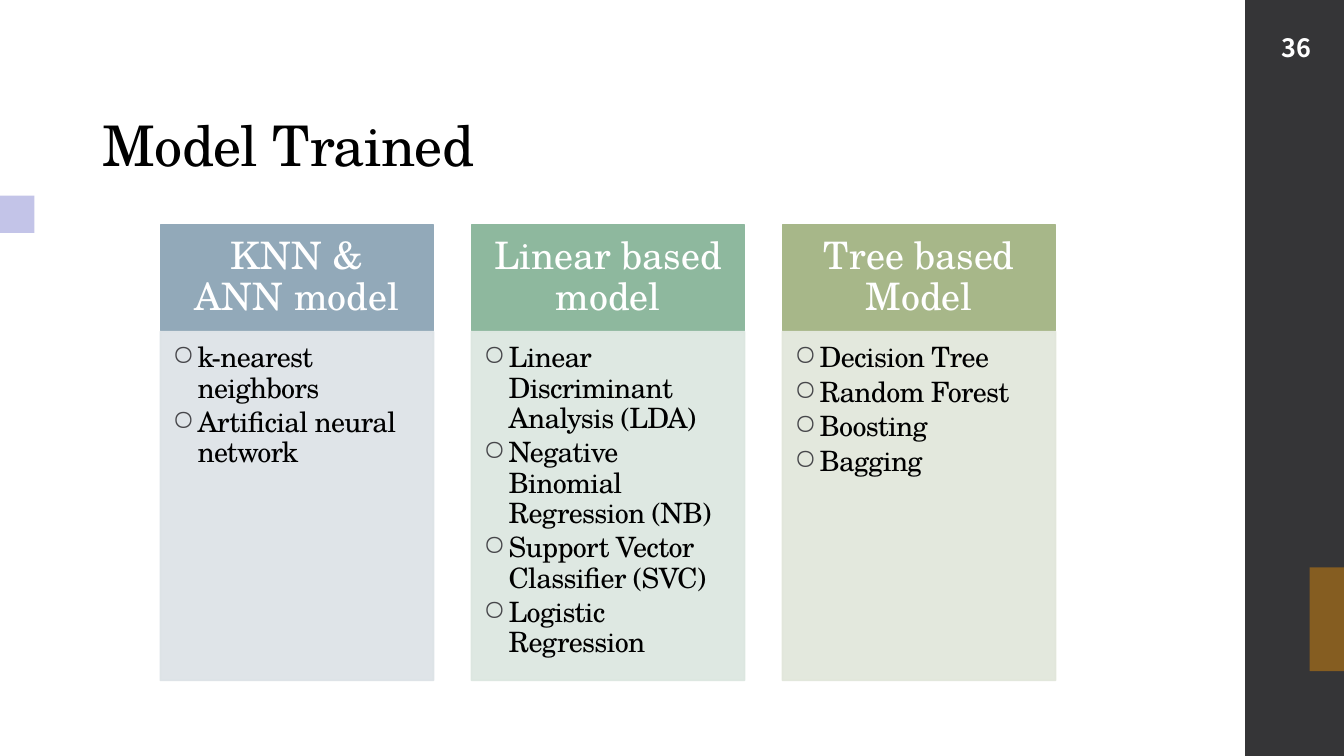
from lxml import etree
from pptx import Presentation
from pptx.dml.color import RGBColor
from pptx.enum import shapes, text
from pptx.oxml.ns import qn
from pptx.util import Inches, Pt

WHITE = RGBColor(0xFF, 0xFF, 0xFF)
BLACK = RGBColor(0, 0, 0)
DARK = RGBColor(0x35, 0x35, 0x37)
LILAC = RGBColor(0x86, 0x87, 0xD1)
AMBER = RGBColor(0xFF, 0x99, 0x00)
BLUE = RGBColor(0x92, 0xA9, 0xB9)
PALE_BLUE = RGBColor(0xDC, 0xE2, 0xE6)
GREEN = RGBColor(0x8E, 0xB8, 0x9E)
PALE_GREEN = RGBColor(0xDB, 0xE6, 0xDF)
OLIVE = RGBColor(0xA7, 0xB7, 0x89)
PALE_OLIVE = RGBColor(0xE1, 0xE6, 0xDA)
GREY = RGBColor(0x46, 0x46, 0x4A)

SERIF = "TeX Gyre Schola"
SANS = "Noto Sans CJK SC"

LEFT, STEP, WIDTH = 1.59, 3.085, 2.71
MODELS = [
    ("KNN & ANN model", BLUE, PALE_BLUE,
     ["k-nearest neighbors", "Artificial neural network"]),
    ("Linear based model", GREEN, PALE_GREEN,
     ["Linear Discriminant Analysis (LDA)", "Negative Binomial Regression (NB)",
      "Support Vector Classifier (SVC)", "Logistic Regression"]),
    ("Tree based Model", OLIVE, PALE_OLIVE,
     ["Decision Tree", "Random Forest", "Boosting", "Bagging"]),
]


def paint(fill, color, alpha):
    """Set a solid fill; alpha is opacity in percent."""
    fill.solid()
    fill.fore_color.rgb = color
    if alpha < 100:
        for node in fill._xPr.iter(qn("a:srgbClr")):
            etree.SubElement(node, qn("a:alpha")).set("val", str(alpha * 1000))


def add_rect(slide, box, color, alpha=100, edge=False):
    rect = slide.shapes.add_shape(
        shapes.MSO_SHAPE.RECTANGLE, *[Inches(n) for n in box])
    rect.shadow.inherit = False
    paint(rect.fill, color, alpha)
    if edge:
        rect.line.width = Pt(1.1)
        paint(rect.line.fill, color, alpha)
    else:
        rect.line.fill.background()
    return rect


def add_bullet(para):
    props = para._p.get_or_add_pPr()
    props.set("marL", str(Inches(0.25)))
    props.set("indent", str(Inches(-0.25)))
    tint = etree.SubElement(props, qn("a:buClr"))
    etree.SubElement(tint, qn("a:srgbClr")).set("val", str(GREY))
    etree.SubElement(props, qn("a:buChar")).set("char", "○")


def write(shape, lines, size, color=BLACK, font=SERIF, bold=False, track=0,
          align=text.PP_ALIGN.LEFT, anchor=text.MSO_ANCHOR.TOP,
          pad=(0.1, 0.05, 0.1, 0.05), lead=1.0, after=0, bullet=False):
    """Fill a shape with paragraphs; pad is left, top, right, bottom."""
    frame = shape.text_frame
    frame.word_wrap = True
    frame.vertical_anchor = anchor
    (frame.margin_left, frame.margin_top,
     frame.margin_right, frame.margin_bottom) = [Inches(n) for n in pad]
    for i, line in enumerate(lines):
        para = frame.add_paragraph() if i else frame.paragraphs[0]
        para.alignment = align
        para.line_spacing = lead
        para.space_after = Pt(after)
        if bullet:
            add_bullet(para)
        run = para.add_run()
        run.text = line
        run.font.size = Pt(size)
        run.font.name = font
        run.font.bold = bold
        run.font.color.rgb = color
        if track:
            run._r.get_or_add_rPr().set("spc", str(int(track * 100)))


def add_label(slide, box, line, size, **style):
    label = slide.shapes.add_textbox(*[Inches(n) for n in box])
    write(label, [line], size, **style)


def add_model(slide, left, name, color, pale, items):
    head = add_rect(slide, (left, 2.23, WIDTH, 1.05), color, edge=True)
    write(head, [name], 27, color=WHITE, align=text.PP_ALIGN.CENTER,
          anchor=text.MSO_ANCHOR.MIDDLE, pad=(0.21, 0.12, 0.21, 0.12), lead=0.9)
    body = add_rect(slide, (left, 3.29, WIDTH, 3.46), pale, 90, edge=True)
    write(body, items, 20, track=-0.5, pad=(0.12, 0.12, 0.16, 0.17),
          lead=0.9, after=3, bullet=True)


def main():
    deck = Presentation()
    deck.slide_width, deck.slide_height = Inches(13.33), Inches(7.5)
    slide = deck.slides.add_slide(deck.slide_layouts[6])
    add_rect(slide, (12.35, 0, 1, 7.5), DARK)
    add_label(slide, (0.92, 0.41, 10.6, 1.45), "Model Trained", 40, track=-0.5,
              anchor=text.MSO_ANCHOR.BOTTOM, pad=(0.1, 0.1, 0.1, 0.1))
    add_rect(slide, (-1.23, 1.94, 1.57, 0.37), LILAC, 49)
    for i, model in enumerate(MODELS):
        add_model(slide, LEFT + i * STEP, *model)
    add_label(slide, (12.61, 0.27, 0.51, 0.4), "36", 18,
              color=WHITE, font=SANS, bold=True)
    add_rect(slide, (12.99, 5.63, 1.57, 1.03), AMBER, 40)
    deck.save("out.pptx")


if __name__ == "__main__":
    main()
